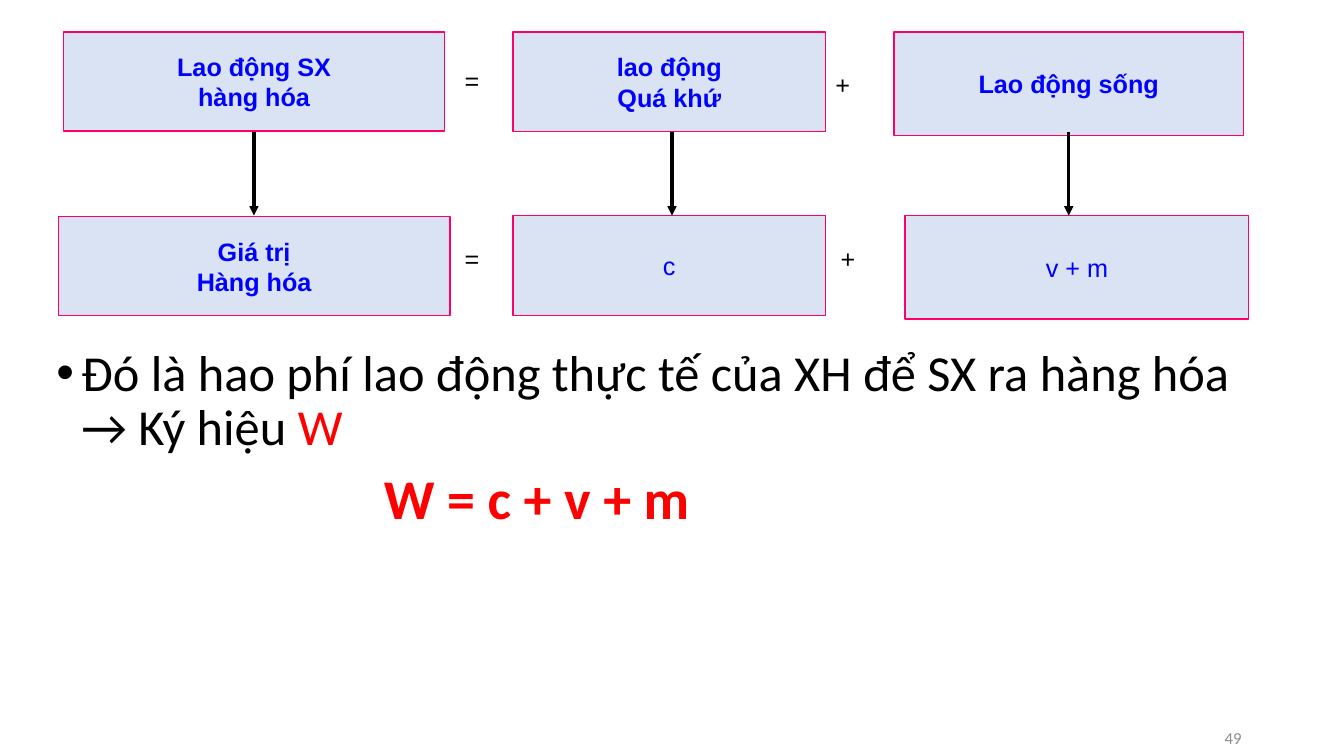
from dataclasses import dataclass

from lxml.etree import SubElement
from pptx import Presentation
from pptx.dml.color import RGBColor
from pptx.enum.shapes import MSO_CONNECTOR, MSO_SHAPE
from pptx.enum.text import MSO_ANCHOR, PP_ALIGN
from pptx.oxml.ns import qn
from pptx.util import Pt


@dataclass(frozen=True)
class Theme:
    box_fill: str = "DAE3F3"
    box_line: str = "FF0066"
    box_text: str = "0000FF"
    ink: str = "000000"
    accent: str = "FF0000"
    muted: str = "8C8C8C"
    diagram_font: str = "Arial"
    body_font: str = "Calibri"
    diagram_size: int = 18
    body_size: int = 36
    formula_size: int = 40
    number_size: int = 12


THEME = Theme()


def add_run(paragraph, text, font, size, color, bold=False):
    run = paragraph.add_run()
    run.text = text
    run.font.name = font
    run.font.size = Pt(size)
    run.font.bold = bold
    run.font.color.rgb = RGBColor.from_string(color)


def add_text_frame(slide, left, top, width, height):
    frame = slide.shapes.add_textbox(Pt(left), Pt(top), Pt(width), Pt(height)).text_frame
    frame.word_wrap = True
    return frame


def add_term(slide, left, top, width, height, lines, bold):
    term = slide.shapes.add_shape(MSO_SHAPE.RECTANGLE, Pt(left), Pt(top), Pt(width), Pt(height))
    term.shadow.inherit = False
    term.fill.solid()
    term.fill.fore_color.rgb = RGBColor.from_string(THEME.box_fill)
    term.line.color.rgb = RGBColor.from_string(THEME.box_line)
    term.line.width = Pt(1)
    frame = term.text_frame
    frame.word_wrap = False
    frame.vertical_anchor = MSO_ANCHOR.MIDDLE
    for index, line in enumerate(lines):
        paragraph = frame.add_paragraph() if index else frame.paragraphs[0]
        paragraph.alignment = PP_ALIGN.CENTER
        add_run(paragraph, line, THEME.diagram_font, THEME.diagram_size, THEME.box_text, bold)


def add_operator(slide, left, top, sign):
    frame = add_text_frame(slide, left, top, 40, 29)
    add_run(frame.paragraphs[0], sign, THEME.diagram_font, THEME.diagram_size, THEME.ink)


def add_down_arrow(slide, x, top, bottom):
    arrow = slide.shapes.add_connector(MSO_CONNECTOR.STRAIGHT, Pt(x), Pt(top), Pt(x), Pt(bottom))
    arrow.line.color.rgb = RGBColor.from_string(THEME.ink)
    arrow.line.width = Pt(2.25)
    SubElement(arrow.line._get_or_add_ln(), qn("a:tailEnd"), type="triangle")
    SubElement(arrow._element.spPr, qn("a:effectLst"))


def set_indent(paragraph, margin, first_line):
    properties = paragraph._p.get_or_add_pPr()
    properties.set("marL", str(Pt(margin)))
    properties.set("indent", str(Pt(first_line)))
    return properties


def add_explanation(slide):
    frame = add_text_frame(slide, 33.1, 245, 882, 150)
    definition = frame.paragraphs[0]
    definition.line_spacing = 0.9
    properties = set_indent(definition, 18, -18)
    SubElement(properties, qn("a:buFont"), typeface=THEME.diagram_font)
    SubElement(properties, qn("a:buChar"), char="•")
    add_run(definition, "Đó là hao phí lao động thực tế của XH để SX ra hàng hóa → Ký hiệu ",
            THEME.body_font, THEME.body_size, THEME.ink)
    add_run(definition, "W", THEME.body_font, THEME.body_size, THEME.accent)

    formula = frame.add_paragraph()
    formula.line_spacing = 0.9
    formula.space_before = Pt(10)
    set_indent(formula, 234, 0)
    add_run(formula, "W = c + v + m", THEME.body_font, THEME.formula_size, THEME.accent, True)


def add_slide_number(slide):
    frame = add_text_frame(slide, 678, 514, 216, 26)
    frame.vertical_anchor = MSO_ANCHOR.MIDDLE
    frame.paragraphs[0].alignment = PP_ALIGN.RIGHT
    add_run(frame.paragraphs[0], "49", THEME.body_font, THEME.number_size, THEME.muted)


def main():
    deck = Presentation()
    deck.slide_width, deck.slide_height = Pt(960), Pt(540)
    slide = deck.slides.add_slide(deck.slide_layouts[6])

    add_explanation(slide)
    terms = [
        (45.4, 23, 272.2, 70.6, ["Lao động SX", "hàng hóa"], True),
        (366.5, 23, 223.2, 70.9, ["lao động", "Quá khứ"], True),
        (638.6, 23, 249.8, 73.8, ["Lao động sống"], True),
        (41.6, 154.8, 279.9, 70.6, ["Giá trị", "Hàng hóa"], True),
        (366.5, 154, 223.2, 71.3, ["c"], False),
        (646.5, 154, 245.5, 74, ["v + m"], False),
    ]
    for term in terms:
        add_term(slide, *term)
    for left, top, sign in [(324.7, 43.2, "="), (589.7, 46, "+"),
                            (324.7, 170.6, "="), (593.3, 170.6, "+")]:
        add_operator(slide, left, top, sign)
    for x in (181.4, 480, 763.4):
        add_down_arrow(slide, x, 94, 154)
    add_slide_number(slide)
    deck.save("out.pptx")


if __name__ == "__main__":
    main()
